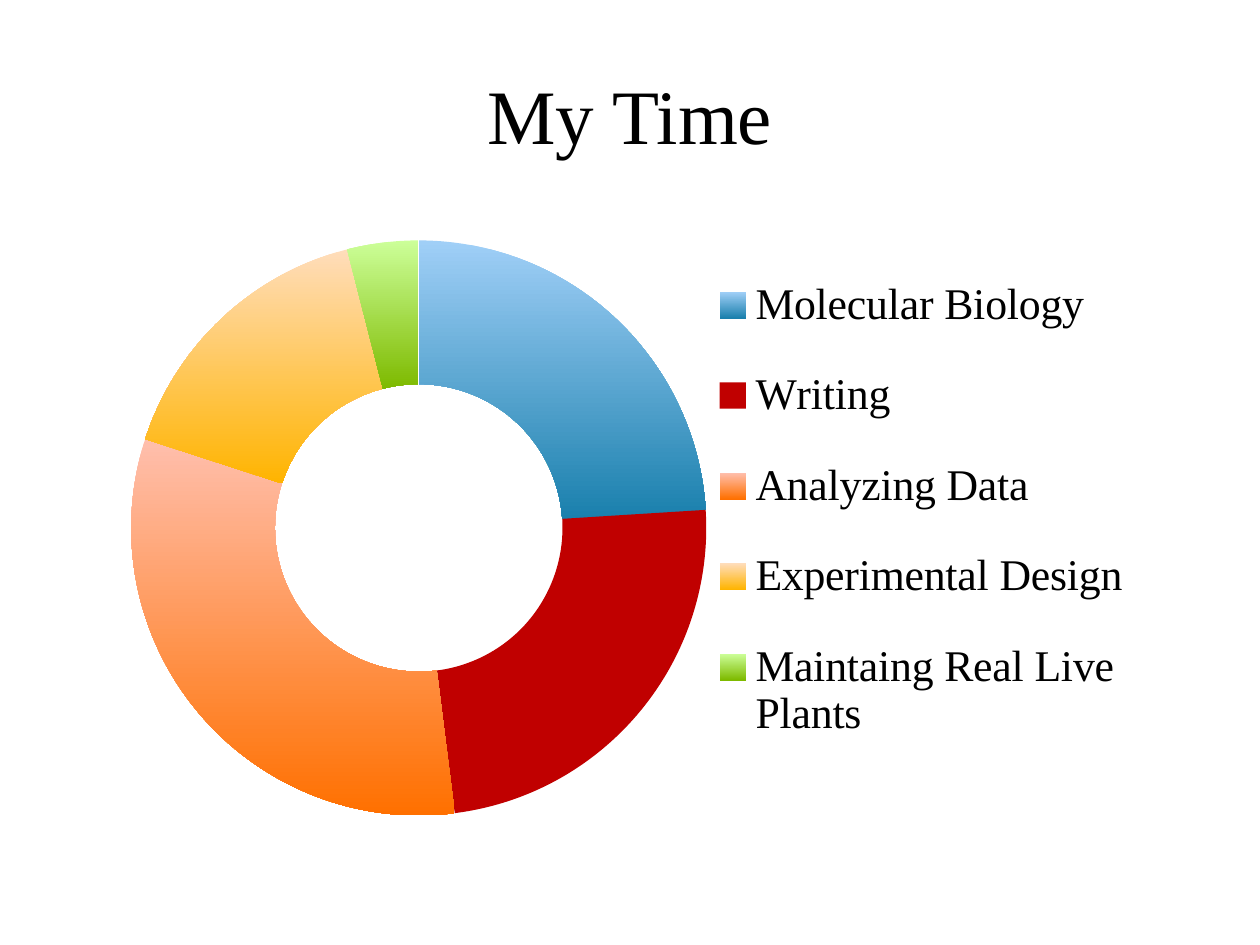
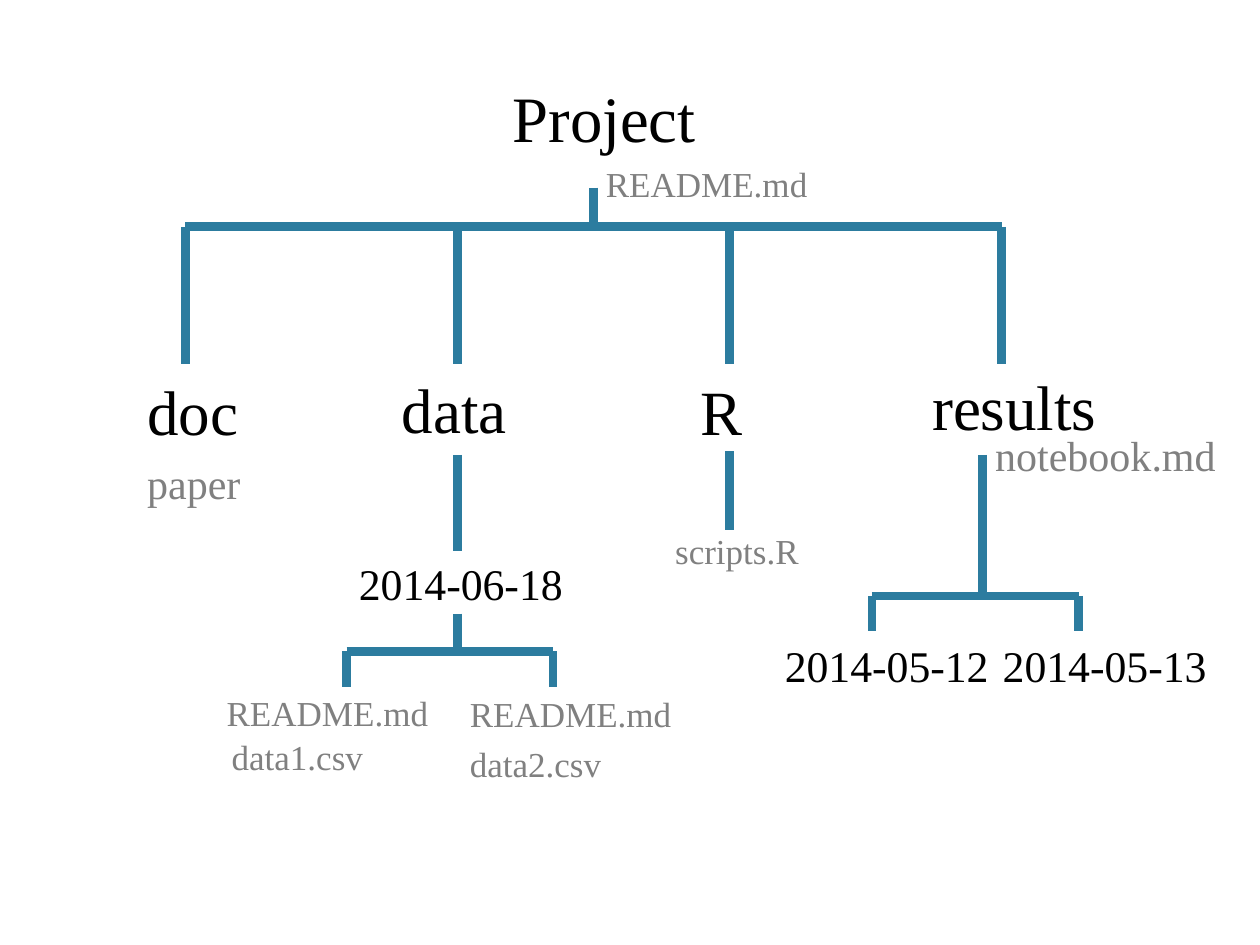
"""Builds two slides: a doughnut of working time and a project folder tree."""
from lxml.etree import SubElement
from pptx import Presentation
from pptx.chart.data import CategoryChartData
from pptx.dml.color import RGBColor
from pptx.enum.chart import XL_CHART_TYPE, XL_LEGEND_POSITION
from pptx.enum.shapes import MSO_CONNECTOR
from pptx.enum.text import MSO_ANCHOR, MSO_AUTO_SIZE, PP_ALIGN
from pptx.oxml.ns import qn
from pptx.util import Pt

PX = 9144
FONT = "Times New Roman"
BLACK, GREY, BLUE = "000000", "808080", "2C7C9F"

TITLE = "My Time"
TIME = [
    ("Molecular Biology", 24, ("A0CFF7", "1A80AD")),
    ("Writing", 24, ("C00000",)),
    ("Analyzing Data", 32, ("FFBFAD", "FF7000")),
    ("Experimental Design", 16, ("FFDDBB", "FFB400")),
    ("Maintaing Real Live Plants", 4, ("CCFF99", "7EBA00")),
]
PLOT_BOX = {"x": 0.053, "y": 0.113, "w": 0.582, "h": 0.821}
LEGEND_BOX = {"x": 0.6, "y": 0.11, "w": 0.395, "h": 0.775}

# style: size, colour, height, wrap
STYLES = {
    "root": (37, BLACK, 72, False),
    "folder": (36, BLACK, 71, True),
    "date": (25, BLACK, 52, False),
    "note": (24, GREY, 50, True),
    "file": (20, GREY, 44, True),
}
LABELS = {
    "root": [("Project", 397, 57, 166)],
    "folder": [("doc", 107, 291, 93), ("data", 309, 289, 109),
               ("R", 546, 291, 119), ("results", 730, 287, 174)],
    "date": [("2014-06-18", 275, 437, 182), ("2014-05-12", 613, 502, 182),
             ("2014-05-13", 786, 502, 182)],
    "note": [("paper", 107, 358, 269), ("notebook.md", 780, 336, 269)],
    "file": [("README.md", 471, 124, 269), ("scripts.R", 526, 415, 139),
             ("README.md", 170, 544, 269), ("data1.csv", 174, 579, 269),
             ("README.md", 363, 545, 269), ("data2.csv", 363, 584, 269)],
}
FOLDER_XS = [147 + 216 * i for i in range(4)]
BRANCHES = [
    {"stem": 471, "top": 149, "bar": 180, "drops": FOLDER_XS, "bottom": 289},
    {"stem": 363, "top": 487, "bar": 517, "drops": [275, 439], "bottom": 545},
    {"stem": 780, "top": 361, "bar": 473, "drops": [692, 856], "bottom": 501},
]
STEMS = [(363, 361, 437), (579, 358, 421)]


def px(*lengths):
    return [n * PX for n in lengths]


def rgb(value):
    return RGBColor.from_string(value)


def style_font(font, size, colour=BLACK, name=FONT):
    font.size, font.name = Pt(size), name
    font.color.rgb = rgb(colour)


def set_layout(parent, box, after=None, inner=False):
    for old in parent.findall(qn("c:layout")):
        parent.remove(old)
    layout = SubElement(parent, qn("c:layout"))
    if after is None:
        parent.insert(0, layout)
    else:
        after.addnext(layout)
    manual = SubElement(layout, qn("c:manualLayout"))
    if inner:
        SubElement(manual, qn("c:layoutTarget")).set("val", "inner")
    for key in "xy":
        SubElement(manual, qn(f"c:{key}Mode")).set("val", "edge")
    for key, value in box.items():
        SubElement(manual, qn(f"c:{key}")).set("val", str(value))


def fill_point(fill, colours):
    if len(colours) == 1:
        fill.solid()
        fill.fore_color.rgb = rgb(colours[0])
        return
    fill.gradient()
    fill.gradient_angle = 270
    for stop, colour in zip(fill.gradient_stops, colours):
        stop.color.rgb = rgb(colour)


def add_time_slide(prs):
    s = prs.slides.add_slide(prs.slide_layouts[5])
    title = s.shapes.title
    title.left, title.top, title.width, title.height = px(50, 28, 900, 125)
    tf = title.text_frame
    tf.text = TITLE
    tf.vertical_anchor = MSO_ANCHOR.MIDDLE
    p = tf.paragraphs[0]
    p.alignment = PP_ALIGN.CENTER
    style_font(p.runs[0].font, 44)

    names, values, fills = zip(*TIME)
    data = CategoryChartData()
    data.categories = names
    data.add_series("Series 1", values)
    chart = s.shapes.add_chart(
        XL_CHART_TYPE.DOUGHNUT, *px(30, 128, 879, 556), data).chart
    style_font(chart.font, 18, name="Calibri")
    chart.has_title = False
    chart.has_legend = True
    legend = chart.legend
    legend.position = XL_LEGEND_POSITION.RIGHT
    legend.include_in_layout = False
    style_font(legend.font, 25)
    plot = chart.plots[0]
    plot.vary_by_categories = True
    for i, colours in enumerate(fills):
        fill_point(plot.series[0].points[i].format.fill, colours)
    root = chart.element
    set_layout(root.find(".//" + qn("c:plotArea")), PLOT_BOX, inner=True)
    position = root.find(".//" + qn("c:legendPos"))
    set_layout(position.getparent(), LEGEND_BOX, after=position)


def add_line(s, x1, y1, x2, y2):
    line = s.shapes.add_connector(MSO_CONNECTOR.STRAIGHT, *px(x1, y1, x2, y2))
    line.line.color.rgb = rgb(BLUE)
    line.line.width = Pt(5)
    SubElement(line.element.spPr, qn("a:effectLst"))


def add_label(s, style, text, x, y, width):
    size, colour, height, wrap = STYLES[style]
    tf = s.shapes.add_textbox(*px(x, y, width, height)).text_frame
    tf.text = text
    tf.word_wrap = wrap
    tf.auto_size = MSO_AUTO_SIZE.SHAPE_TO_FIT_TEXT
    style_font(tf.paragraphs[0].runs[0].font, size, colour)


def add_tree_slide(prs):
    s = prs.slides.add_slide(prs.slide_layouts[6])
    for b in BRANCHES:
        add_line(s, b["drops"][0], b["bar"], b["drops"][-1], b["bar"])
        add_line(s, b["stem"], b["top"], b["stem"], b["bar"])
        for x in b["drops"]:
            add_line(s, x, b["bar"], x, b["bottom"])
    for x, top, bottom in STEMS:
        add_line(s, x, top, x, bottom)
    for style, labels in LABELS.items():
        for label in labels:
            add_label(s, style, *label)


def main():
    prs = Presentation()
    prs.slide_width, prs.slide_height = px(1000, 750)
    add_time_slide(prs)
    add_tree_slide(prs)
    prs.save("out.pptx")


if __name__ == "__main__":
    main()
